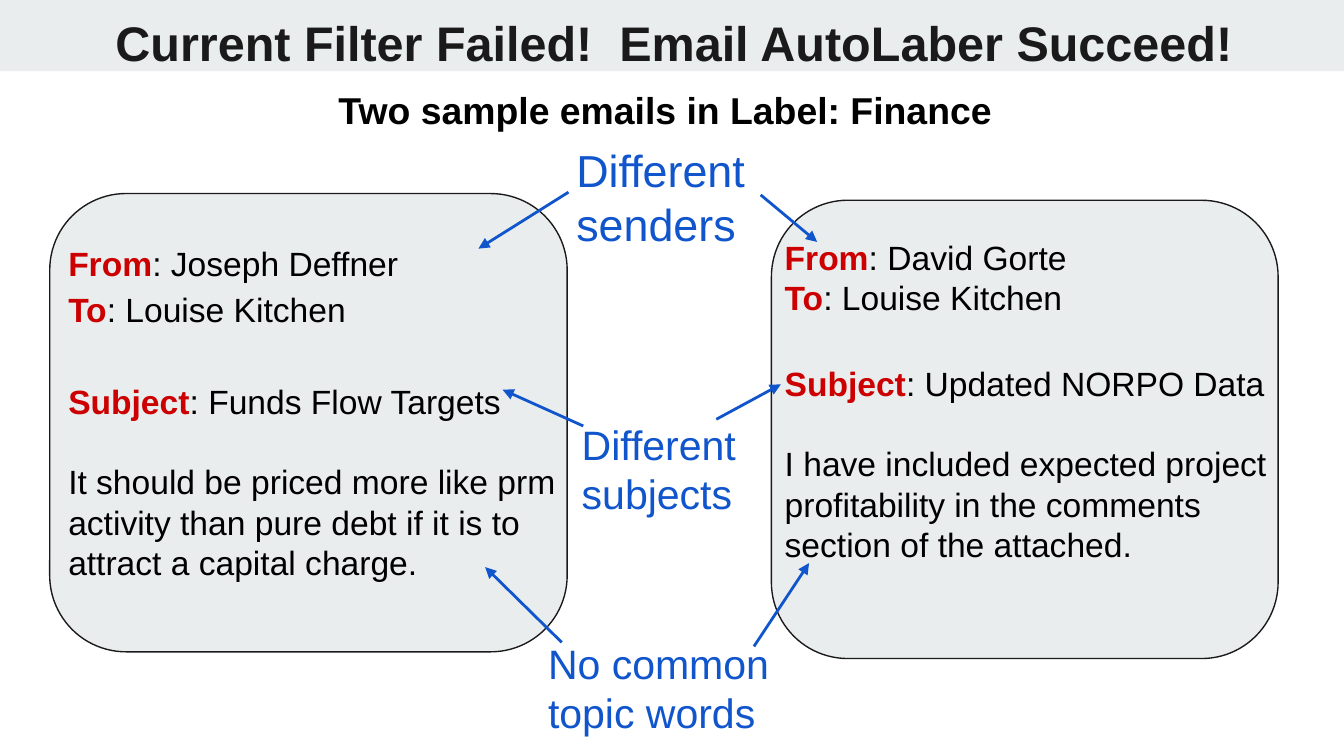
from dataclasses import dataclass

from lxml.etree import SubElement
from pptx import Presentation
from pptx.dml.color import RGBColor
from pptx.enum.shapes import MSO_CONNECTOR, MSO_SHAPE
from pptx.enum.text import MSO_ANCHOR, PP_ALIGN
from pptx.oxml.ns import qn
from pptx.util import Inches, Pt


@dataclass(frozen=True)
class Theme:
    font: str = "Arial"
    panel: str = "E9EDEE"
    dark: str = "1A1A1A"
    black: str = "000000"
    field: str = "CC0000"
    callout: str = "1155CC"
    title_size: float = 26
    subtitle_size: float = 20
    email_size: float = 18
    large_callout_size: float = 24
    callout_size: float = 22
    blank_line: float = 21.4
    loose: float = 1.15


THEME = Theme()


def color(value):
    return RGBColor.from_string(value)


def add_panel(slide, kind, box, outlined=True):
    shape = slide.shapes.add_shape(kind, *map(Inches, box))
    shape.shadow.inherit = False
    shape.fill.solid()
    shape.fill.fore_color.rgb = color(THEME.panel)
    if outlined:
        shape.line.color.rgb = color(THEME.dark)
        shape.line.width = Pt(0.75)
    else:
        shape.line.fill.background()


def add_text_box(slide, box):
    text_frame = slide.shapes.add_textbox(*map(Inches, box)).text_frame
    text_frame.word_wrap = True
    text_frame.vertical_anchor = MSO_ANCHOR.TOP
    text_frame.margin_left = text_frame.margin_right = Inches(0.1)
    text_frame.margin_top = text_frame.margin_bottom = Inches(0.1)
    return text_frame


def add_run(paragraph, text, *, size, fill=THEME.black, bold=False):
    run = paragraph.add_run()
    run.text = text
    run.font.name = THEME.font
    run.font.size = Pt(size)
    run.font.bold = bold
    run.font.color.rgb = color(fill)


def add_paragraph(text_frame, first=False, spacing=1.0, before=0):
    paragraph = text_frame.paragraphs[0] if first else text_frame.add_paragraph()
    paragraph.alignment = PP_ALIGN.LEFT
    paragraph.line_spacing = spacing
    paragraph.space_before = Pt(before)
    return paragraph


def add_label(slide, box, lines, spacing=1.0, **text_format):
    text_frame = add_text_box(slide, box)
    for index, line in enumerate(lines):
        paragraph = add_paragraph(text_frame, index == 0, spacing)
        add_run(paragraph, line, **text_format)


def add_email(slide, box, fields, body, address_spacing):
    """Add the header fields, with a line's gap before the subject and the body."""
    text_frame = add_text_box(slide, box)
    size = THEME.email_size
    for index, (name, value) in enumerate(fields):
        is_subject = name == "Subject"
        paragraph = add_paragraph(
            text_frame,
            index == 0,
            THEME.loose if is_subject else address_spacing,
            THEME.blank_line * address_spacing if is_subject else 0,
        )
        add_run(paragraph, name, size=size, fill=THEME.field, bold=True)
        add_run(paragraph, f": {value}", size=size)
    add_run(add_paragraph(text_frame, before=THEME.blank_line), body, size=size)


def add_arrow(slide, start, end):
    connector = slide.shapes.add_connector(
        MSO_CONNECTOR.STRAIGHT, *map(Inches, start + end)
    )
    connector.line.color.rgb = color(THEME.callout)
    connector.line.width = Pt(1.5)
    line = connector._element.spPr.find(qn("a:ln"))
    SubElement(line, qn("a:tailEnd"), type="triangle")
    SubElement(connector._element.spPr, qn("a:effectLst"))


def main():
    presentation = Presentation()
    presentation.slide_width = Inches(10)
    presentation.slide_height = Inches(10 * 9 / 16)
    slide = presentation.slides.add_slide(presentation.slide_layouts[6])

    add_panel(slide, MSO_SHAPE.RECTANGLE, (0, 0, 10, 0.53), outlined=False)
    add_panel(slide, MSO_SHAPE.ROUNDED_RECTANGLE, (5.74, 1.49, 3.77, 3.41))
    add_panel(slide, MSO_SHAPE.ROUNDED_RECTANGLE, (0.37, 1.44, 3.85, 3.41))

    add_label(
        slide, (0.76, 0, 8.99, 0.59),
        ["Current Filter Failed!  Email AutoLaber Succeed!"],
        size=THEME.title_size, fill=THEME.dark, bold=True,
    )

    add_email(
        slide, (0.41, 1.66, 4.06, 4.06),
        [("From", "Joseph Deffner"), ("To", "Louise Kitchen"),
         ("Subject", "Funds Flow Targets")],
        "It should be priced more like prm activity than pure debt "
        "if it is to attract a capital charge.",
        address_spacing=THEME.loose,
    )
    add_email(
        slide, (5.74, 1.66, 4.01, 4.25),
        [("From", "David Gorte"), ("To", "Louise Kitchen"),
         ("Subject", "Updated NORPO Data")],
        "I have included expected project profitability in the comments "
        "section of the attached.",
        address_spacing=1.0,
    )

    add_label(
        slide, (2.42, 0.5, 5.38, 0.46), ["Two sample emails in Label: Finance"],
        spacing=THEME.loose, size=THEME.subtitle_size, bold=True,
    )

    callouts = [
        ((4.19, 0.96, 1.47, 0.98), ["Different", "senders"],
         THEME.large_callout_size,
         [((5.66, 1.45), (6.08, 1.8)), ((4.23, 1.43), (3.56, 1.85))]),
        ((4.23, 3.02, 1.61, 0.83), ["Different subjects"], THEME.callout_size,
         [((4.34, 3.17), (3.74, 2.9)), ((5.33, 3.12), (5.81, 2.86))]),
        ((3.98, 4.65, 2.04, 0.83), ["No common", "topic words"],
         THEME.callout_size,
         [((4.18, 4.78), (3.61, 4.22)), ((5.61, 4.81), (6.02, 4.19))]),
    ]
    for box, lines, size, arrows in callouts:
        add_label(slide, box, lines, size=size, fill=THEME.callout)
        for start, end in arrows:
            add_arrow(slide, start, end)

    presentation.save("out.pptx")


if __name__ == "__main__":
    main()
